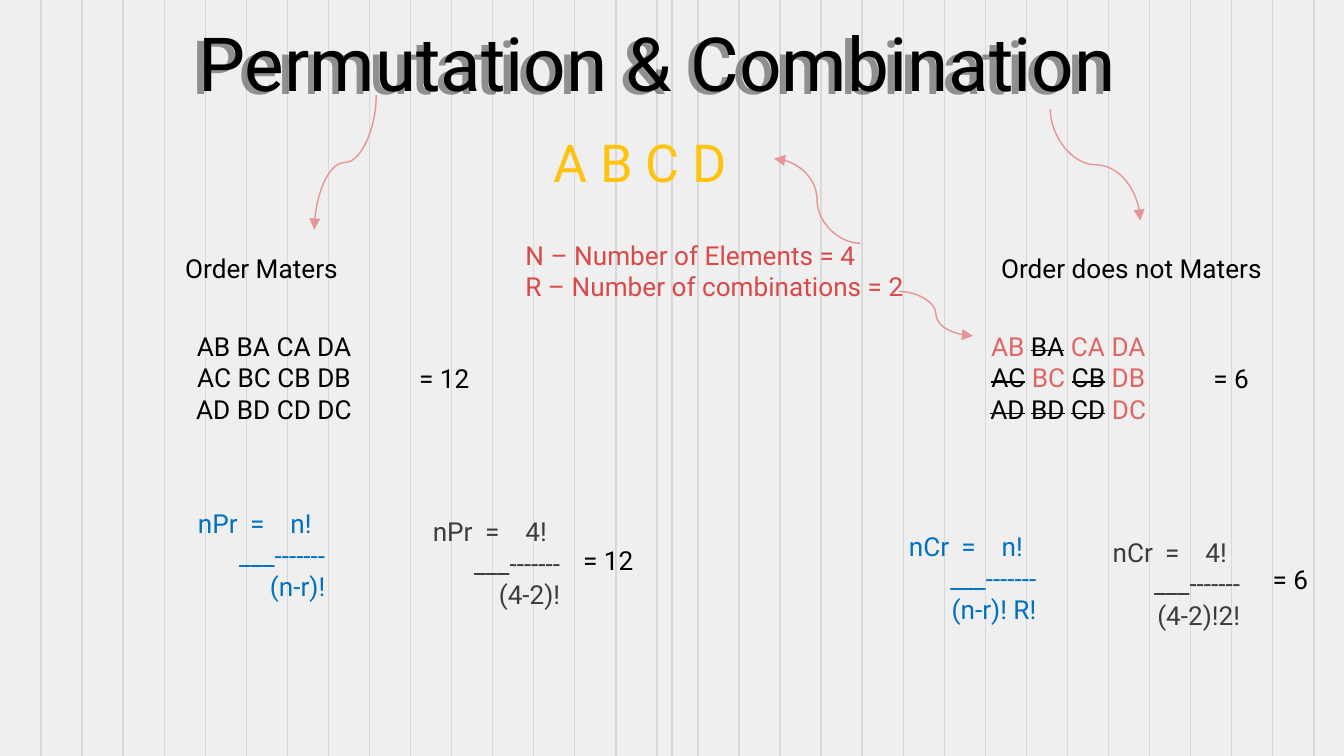
from dataclasses import dataclass

from lxml import etree
from pptx import Presentation
from pptx import util as u
from pptx.dml import color
from pptx.enum import shapes, text
from pptx.oxml import ns

Cm = u.Cm


@dataclass(frozen=True)
class Theme:
    font: str = "Roboto"
    title_size: int = 40
    letters_size: int = 28
    body_size: int = 14
    line_width: float = 0.75
    background: str = "EFEFEF"
    grid: str = "D9D9D9"
    ink: str = "000000"
    arrow: str = "E79494"
    letters: str = "FFC30D"
    legend: str = "D94949"
    kept: str = "E06666"
    formula: str = "0070C0"
    worked: str = "3C3C3C"


THEME = Theme()
ALIGN = text.PP_ALIGN


def rgb(value):
    return color.RGBColor.from_string(value)


def add_xml(parent, tag, **attributes):
    return etree.SubElement(parent, ns.qn(tag), attributes)


def set_values(target, values):
    for name, value in values.items():
        setattr(target, name, value)


def add_run(paragraph, words, ink=THEME.ink, size=THEME.body_size):
    run = paragraph.add_run()
    run.text = words
    set_values(run.font, {"name": THEME.font, "size": u.Pt(size)})
    run.font.color.rgb = rgb(ink)
    return run


def add_box(slide, left, top, width, height, wrap=False):
    """Add an empty text box and return its text frame."""
    shape = slide.shapes.add_textbox(Cm(left), Cm(top), Cm(width), Cm(height))
    set_values(shape.text_frame, {"word_wrap": wrap, "auto_size": text.MSO_AUTO_SIZE.NONE})
    return shape.text_frame


def add_lines(slide, box, lines, ink=THEME.ink, size=THEME.body_size):
    frame = add_box(slide, *box)
    for index, line in enumerate(lines):
        paragraph = frame.add_paragraph() if index else frame.paragraphs[0]
        add_run(paragraph, line, ink, size)


def add_line(slide, kind, start, end, ink):
    line = slide.shapes.add_connector(kind, *(Cm(value) for value in (*start, *end)))
    line.line.color.rgb = rgb(ink)
    line.line.width = u.Pt(THEME.line_width)
    add_xml(line._element.spPr, "a:effectLst")
    return line


def add_curved_arrow(slide, start, end, upright=False):
    """Draw an S-shaped arrow; an upright one leaves and arrives vertically."""
    turn = 0
    if upright:
        middle_x, middle_y = (start[0] + end[0]) / 2, (start[1] + end[1]) / 2
        across, down = (end[0] - start[0]) / 2, (end[1] - start[1]) / 2
        turn, reach = (90, down) if across < 0 else (270, -down)
        start = middle_x - reach, middle_y - abs(across)
        end = middle_x + reach, middle_y + abs(across)
    arrow = add_line(slide, shapes.MSO_CONNECTOR.CURVE, start, end, THEME.arrow)
    if turn:
        arrow._element.spPr.find(ns.qn("a:xfrm")).set("rot", str(turn * 60000))
    add_xml(arrow.line._get_or_add_ln(), "a:tailEnd", type="triangle")


def add_grid(slide, width, height, count=32):
    """Rule the background with evenly spaced lines and one in the middle."""
    for x in [width * step / count for step in range(1, count + 1)] + [12.7]:
        add_line(slide, shapes.MSO_CONNECTOR.STRAIGHT, (x, 0), (x, height), THEME.grid)


def add_title(slide, left, top, width, height, words):
    title = slide.shapes.title
    slide.shapes._spTree.append(title._element)
    set_values(title, {"left": Cm(left), "top": Cm(top), "width": Cm(width), "height": Cm(height)})
    frame = title.text_frame
    set_values(frame, {"vertical_anchor": text.MSO_ANCHOR.MIDDLE, "word_wrap": True,
                       "auto_size": text.MSO_AUTO_SIZE.NONE})
    frame.paragraphs[0].alignment = ALIGN.CENTER
    add_run(frame.paragraphs[0], words, size=THEME.title_size)
    effects = add_xml(title._element.spPr, "a:effectLst")
    shadow = add_xml(effects, "a:outerShdw", dist="47625", dir="9600000", algn="bl", rotWithShape="0")
    ink = add_xml(shadow, "a:srgbClr", val=THEME.ink)
    add_xml(ink, "a:alpha", val="40000")


def add_counting(slide, left, top, heading, indent, total, kept=None):
    """List the pairs under a heading; with kept given, strike out all others."""
    add_lines(slide, (left + indent, top, 3.66, 0.86), [heading])
    paragraph = add_box(slide, left, top + 1.47, 3.86, 2.06).paragraphs[0]
    paragraph.alignment = ALIGN.CENTER
    rows = ("AB BA CA DA", "AC BC CB DB", "AD BD CD DC")
    for row_index, row in enumerate(rows):
        if row_index:
            paragraph.add_line_break()
        for index, pair in enumerate(row.split()):
            if index:
                add_run(paragraph, " ")
            counted = kept is not None and pair in kept
            run = add_run(paragraph, pair, THEME.kept if counted else THEME.ink)
            if kept is not None and not counted:
                run.font._element.set("strike", "sngStrike")
    add_lines(slide, (left + 4.42, top + 2.08, 1.5, 0.86), [total])


def add_fraction(slide, left, top, width, symbol, numerator, denominator, ink):
    frame = add_box(slide, left, top, width, 2.06, wrap=True)
    first = frame.paragraphs[0]
    add_run(first, f"\t{symbol}\t=\t{numerator}", ink)
    first.alignment = ALIGN.LEFT
    tabs = add_xml(first._p.get_or_add_pPr(), "a:tabLst")
    for stop in (0.75, 1.74, 2.5):
        add_xml(tabs, "a:tab", pos=str(Cm(stop + width - 3.66)), algn="l")
    for words in ("___-------", denominator):
        paragraph = frame.add_paragraph()
        paragraph.alignment = ALIGN.RIGHT
        add_run(paragraph, words, ink)


def add_formulas(slide, left, top, symbol, general, worked, worked_at, total, total_at):
    add_fraction(slide, left, top, 3.66, symbol, "n!", general, THEME.formula)
    add_fraction(slide, left + worked_at[0], top + worked_at[1], 3.73,
                 symbol, "4!", worked, THEME.worked)
    add_lines(slide, (left + total_at[0], top + total_at[1], 1.5, 0.86), [total])


def add_legend(slide, left, top):
    """Place the letters and, below them, the meaning of N and R."""
    add_lines(slide, (left + 0.53, top, 4.42, 1.45), ["A B C D"], THEME.letters, THEME.letters_size)
    meanings = ["N – Number of Elements = 4", "R – Number of combinations = 2"]
    add_lines(slide, (left, top + 2.06, 7.85, 1.45), meanings, THEME.legend)
    add_curved_arrow(slide, (left + 6.58, top + 2.26), (left + 4.95, top + 0.66))
    add_curved_arrow(slide, (left + 7.31, top + 3.17), (left + 8.71, top + 4.01))


def main():
    presentation = Presentation()
    set_values(presentation, {"slide_width": Cm(25.4), "slide_height": Cm(14.29)})
    slide = presentation.slides.add_slide(presentation.slide_layouts[5])
    slide.background.fill.solid()
    slide.background.fill.fore_color.rgb = rgb(THEME.background)

    add_grid(slide, 24.83, 14.29)
    add_title(slide, 0.3, 0, 24.23, 2.34, "Permutation & Combination")
    add_curved_arrow(slide, (7.11, 1.8), (5.94, 4.34), upright=True)
    add_curved_arrow(slide, (19.85, 2.06), (21.55, 4.17), upright=True)
    add_legend(slide, 9.68, 2.34)
    add_counting(slide, 3.25, 4.65, "Order Maters", 0, "= 12")
    add_counting(slide, 18.26, 4.65, "Order does not Maters", 0.41, "= 6",
                 kept={"AB", "CA", "DA", "BC", "DB", "DC"})
    add_formulas(slide, 2.74, 9.47, "nPr", "(n-r)!", "(4-2)!", (4.37, 0.15), "= 12", (8.03, 0.69))
    add_formulas(slide, 16.18, 9.91, "nCr", "(n-r)! R!", "(4-2)!2!", (3.78, 0.1), "= 6", (7.62, 0.61))
    presentation.save("out.pptx")


if __name__ == "__main__":
    main()
